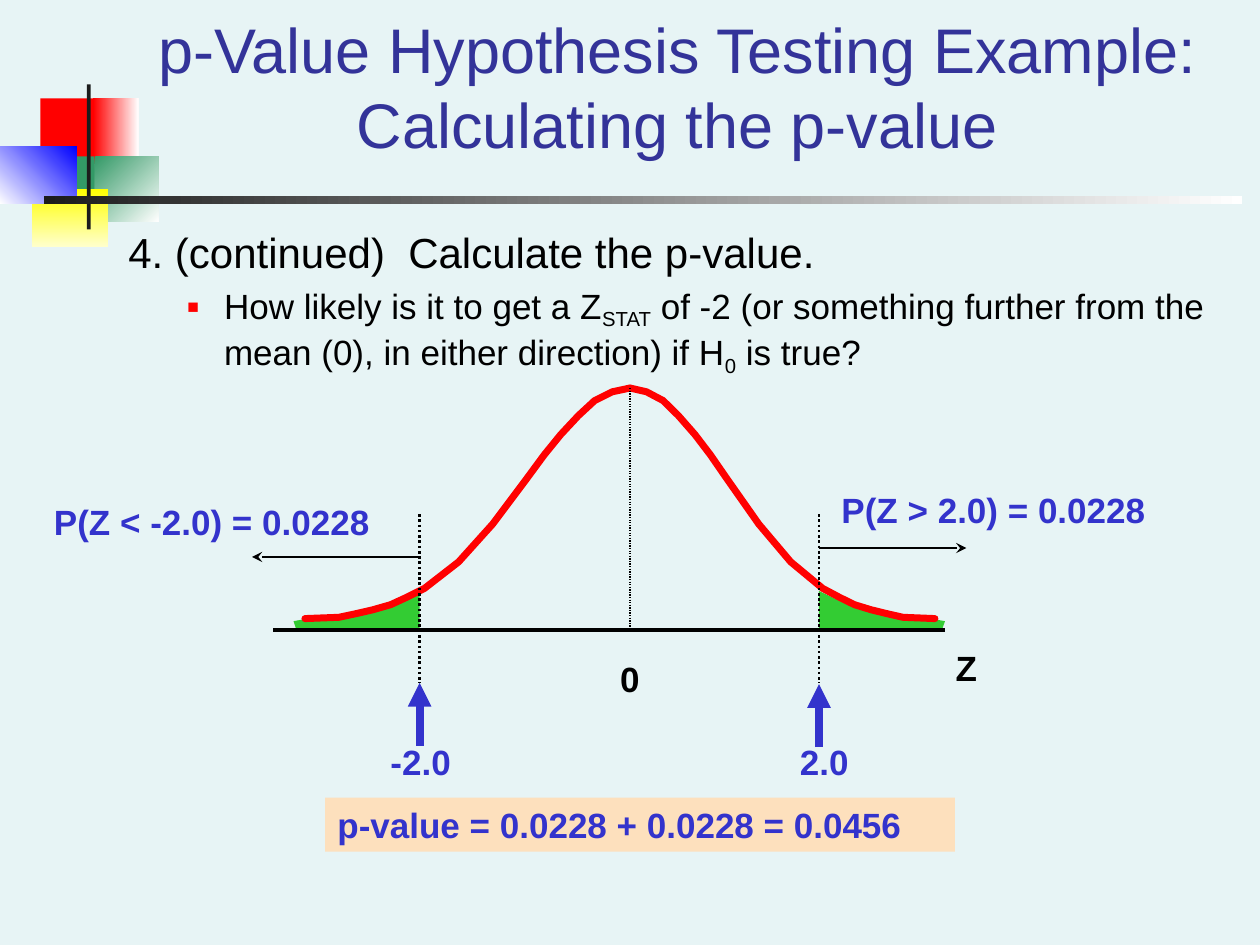
from typing import NamedTuple

from lxml import etree
from pptx import Presentation
from pptx import util as u
from pptx.dml.color import RGBColor
from pptx.enum import dml, shapes, text
from pptx.oxml import ns

FONT = "Arial"
BLACK, BLUE, RED, GREEN = "000000", "3333CC", "FF0000", "33CC33"
BASE_Y, PEAK_X = 5, 5
LOW_X, HIGH_X = 3.33, 6.5
RIGHT_SCALE = 2.42 / 2.58  # the right half of the curve is slightly narrower


class Block(NamedTuple):
    x: float
    y: float
    w: float
    h: float
    color: str
    end_color: str | None = None
    angle: int = 0


class Line(NamedTuple):
    x1: float
    y1: float
    x2: float
    y2: float
    width: float
    color: str = BLACK
    dotted: bool = False
    arrow: str | None = None


class Label(NamedTuple):
    x: float
    y: float
    w: float
    words: str
    color: str = BLUE
    align: text.PP_ALIGN = text.PP_ALIGN.LEFT


BLOCKS = [
    Block(0.32, 0.78, 0.48, 0.52, RED),
    Block(0.74, 0.78, 0.36, 0.52, RED, "FFFFFF"),
    Block(0.75, 1.24, 0.51, 0.52, "339966", "FFFFFF", 315),
    Block(0.43, 1.24, 0.32, 0.52, "339966"),
    Block(0.25, 1.5, 0.61, 0.46, "FFFF00", "FFFFCC", 270),
    Block(0, 1.16, 0.61, 0.46, "FFFFFF", "0000FF", 45),
    Block(0.69, 0.67, 0.03, 1.15, "1C1C1C"),
    Block(0.35, 1.56, 9.51, 0.06, "1C1C1C", "FFFFFF"),
]
LEFT_TAIL = [(2.35, 4.99), (2.33, 4.93), (2.44, 4.91), (2.74, 4.9),
             (3.08, 4.81), (LOW_X, 4.69), (LOW_X, BASE_Y), (2.35, BASE_Y)]
LEFT_CURVE = [(2.42, 4.91), (2.69, 4.9), (2.83, 4.87), (2.96, 4.84),
              (3.1, 4.8), (3.23, 4.74), (3.37, 4.67), (3.64, 4.46),
              (3.91, 4.16), (4.18, 3.8), (4.32, 3.61), (4.45, 3.45),
              (4.59, 3.3), (4.72, 3.18), (4.86, 3.11), (PEAK_X, 3.08)]
LINES = [
    Line(2.17, BASE_Y, 7.5, BASE_Y, 2),
    Line(PEAK_X, 3.08, PEAK_X, BASE_Y, 0.75, dotted=True),
    Line(LOW_X, 5.92, LOW_X, 5.42, 4.5, BLUE, arrow="triangle"),
    Line(LOW_X, 4.08, LOW_X, 5.42, 1.5, dotted=True),
    Line(LOW_X, 4.42, 2, 4.42, 1, arrow="stealth"),
    Line(HIGH_X, 4.08, HIGH_X, 5.42, 1.5, dotted=True),
    Line(HIGH_X, 4.35, 7.67, 4.35, 1, arrow="stealth"),
    Line(HIGH_X, 5.93, HIGH_X, 5.43, 4.5, BLUE, arrow="triangle"),
]
LABELS = [
    Label(0.33, 3.92, 2.92, "P(Z < -2.0) = 0.0228"),
    Label(6.58, 3.83, 2.92, "P(Z > 2.0) = 0.0228"),
    Label(4.75, 5.17, 0.5, "0", BLACK, text.PP_ALIGN.CENTER),
    Label(7.42, 5.08, 0.5, "Z", BLACK, text.PP_ALIGN.CENTER),
    Label(3, 5.83, 0.75, "-2.0"),
    Label(6.25, 5.83, 0.75, "2.0"),
]
QUESTION = [("How likely is it to get a Z", 0), ("STAT", -20),
            (" of -2 (or something further from the mean (0), "
             "in either direction) if H", 0), ("0", -25), (" is true?", 0)]


def rgb(color: str) -> RGBColor:
    return RGBColor.from_string(color)


def add_xml(parent, tag: str, **attrs: str):
    return etree.SubElement(parent, ns.qn(tag), attrs)


def set_font(p, size: float, color: str, bold: bool = False) -> None:
    p.font.name, p.font.size, p.font.bold = FONT, u.Pt(size), bold
    p.font.color.rgb = rgb(color)


def add_block(s, b: Block):
    sp = s.shapes.add_shape(shapes.MSO_SHAPE.RECTANGLE, u.Inches(b.x),
                            u.Inches(b.y), u.Inches(b.w), u.Inches(b.h))
    sp.shadow.inherit = False
    sp.line.fill.background()
    if b.end_color:
        sp.fill.gradient()
        sp.fill.gradient_angle = b.angle
        for stop, color in zip(sp.fill.gradient_stops, (b.color, b.end_color)):
            stop.color.rgb = rgb(color)
    else:
        sp.fill.solid()
        sp.fill.fore_color.rgb = rgb(b.color)
    return sp


def add_text_frame(s, x: float, y: float, w: float, h: float):
    tf = s.shapes.add_textbox(u.Inches(x), u.Inches(y),
                              u.Inches(w), u.Inches(h)).text_frame
    tf.word_wrap = True
    return tf


def add_label(s, label: Label) -> None:
    p = add_text_frame(s, label.x, label.y, label.w, 0.43).paragraphs[0]
    p.text, p.alignment = label.words, label.align
    set_font(p, 20, label.color, True)


def add_outline(s, points: list[tuple[float, float]], close: bool):
    """Draw a freeform through points given in inches."""
    start, *rest = [(u.Inches(x), u.Inches(y)) for x, y in points]
    builder = s.shapes.build_freeform(*start)
    builder.add_line_segments(rest, close=close)
    sp = builder.convert_to_shape()
    sp.shadow.inherit = False
    return sp


def add_tail(s, points: list[tuple[float, float]]) -> None:
    sp = add_outline(s, points, True)
    sp.fill.solid()
    sp.fill.fore_color.rgb = rgb(GREEN)
    sp.line.fill.background()


def add_curve(s, points: list[tuple[float, float]]) -> None:
    sp = add_outline(s, points, False)
    sp.fill.background()
    sp.line.color.rgb, sp.line.width = rgb(RED), u.Pt(4)
    ln = sp.line._get_or_add_ln()
    ln.set("cap", "rnd")
    add_xml(ln, "a:round")


def add_line(s, line: Line) -> None:
    c = s.shapes.add_connector(shapes.MSO_CONNECTOR.STRAIGHT,
                               u.Inches(line.x1), u.Inches(line.y1),
                               u.Inches(line.x2), u.Inches(line.y2))
    c.line.color.rgb, c.line.width = rgb(line.color), u.Pt(line.width)
    if line.dotted:
        c.line.dash_style = dml.MSO_LINE.ROUND_DOT
    if line.arrow:
        add_xml(c.line._get_or_add_ln(), "a:tailEnd", type=line.arrow)
    add_xml(c._element.spPr, "a:effectLst")


def add_title(s) -> None:
    tf = add_text_frame(s, 1, 0.25, 8.75, 1.08)
    tf.vertical_anchor = text.MSO_ANCHOR.BOTTOM
    p = tf.paragraphs[0]
    p.text = "p-Value Hypothesis Testing Example:\vCalculating the p-value"
    p.alignment = text.PP_ALIGN.CENTER
    set_font(p, 36, "333399")


def add_body(s) -> None:
    tf = add_text_frame(s, 0.92, 1.75, 8.83, 4.96)
    p = tf.paragraphs[0]
    p.text = "4. (continued)  Calculate the p-value."
    set_font(p, 24, BLACK)

    p = tf.add_paragraph()
    p.level, p.space_before = 1, u.Pt(4)
    pPr = p._p.get_or_add_pPr()
    pPr.set("marL", str(u.Inches(0.76)))
    pPr.set("indent", str(u.Inches(-0.29)))
    add_xml(add_xml(pPr, "a:buClr"), "a:srgbClr", val=RED)
    add_xml(pPr, "a:buSzPct", val="55000")
    add_xml(pPr, "a:buFont", typeface=FONT)
    add_xml(pPr, "a:buChar", char="■")
    set_font(p, 20, BLACK)
    for words, baseline in QUESTION:
        r = p.add_run()
        r.text = words
        if baseline:
            r._r.get_or_add_rPr().set("baseline", str(baseline * 1000))


def add_result(s) -> None:
    tf = add_block(s, Block(2.58, 6.33, 5, 0.43, "FDE0BD")).text_frame
    tf.vertical_anchor = text.MSO_ANCHOR.TOP
    p = tf.paragraphs[0]
    p.text, p.alignment = "p-value = 0.0228 + 0.0228 = 0.0456", text.PP_ALIGN.LEFT
    set_font(p, 20, BLUE, True)


def main() -> None:
    prs = Presentation()
    prs.slide_width, prs.slide_height = u.Inches(10), u.Inches(7.5)
    s = prs.slides.add_slide(prs.slide_layouts[6])
    s.background.fill.solid()
    s.background.fill.fore_color.rgb = rgb("E7F4F5")
    for block in BLOCKS:
        add_block(s, block)
    add_title(s)
    add_body(s)
    add_result(s)
    add_tail(s, LEFT_TAIL)
    add_tail(s, [(LOW_X + HIGH_X - x, y) for x, y in LEFT_TAIL])
    add_curve(s, LEFT_CURVE)
    add_curve(s, [(PEAK_X + (PEAK_X - x) * RIGHT_SCALE, y) for x, y in LEFT_CURVE])
    for line in LINES:
        add_line(s, line)
    for label in LABELS:
        add_label(s, label)
    prs.save("out.pptx")


if __name__ == "__main__":
    main()
